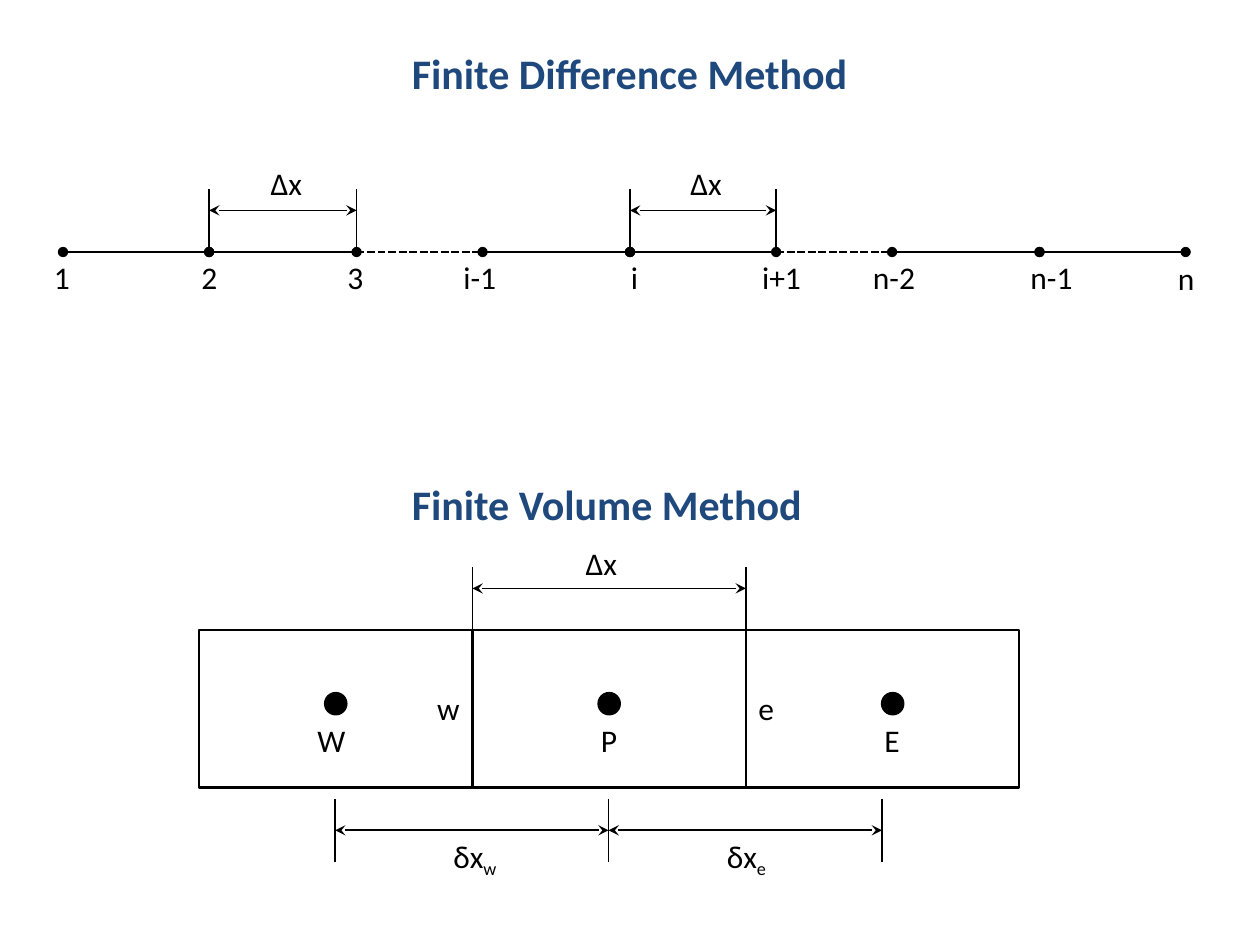
import pptx
import pptx.dml.color
import pptx.enum.dml
import pptx.enum.shapes
import pptx.enum.text
import pptx.oxml.xmlchemy
import pptx.util
from pptx.util import Inches

COLORS = {"ink": "000000", "title": "1F497D"}
FONT = "Calibri"
AXIS_Y = 2
CELL_LEFT, CELL_TOP = 1.58, 5
CELL_WIDTH, CELL_HEIGHT = 2.17, 1.25
NODE_SIZE = 0.17


def color(name):
    return pptx.dml.color.RGBColor.from_string(COLORS[name])


def add_label(slide, text, left, top, width, height=0.4, size=18,
              color_name="ink", bold=False, subscript=""):
    box = slide.shapes.add_textbox(
        Inches(left), Inches(top), Inches(width), Inches(height))
    frame = box.text_frame
    frame.word_wrap = False
    frame.auto_size = pptx.enum.text.MSO_AUTO_SIZE.SHAPE_TO_FIT_TEXT
    paragraph = frame.paragraphs[0]
    for content, baseline in ((text, 0), (subscript, -25000)):
        if not content:
            continue
        run = paragraph.add_run()
        run.text = content
        run.font.name = FONT
        run.font.size = pptx.util.Pt(size)
        run.font.bold = bold
        run.font.color.rgb = color(color_name)
        if baseline:
            run.font._element.set("baseline", str(baseline))


def add_title(slide, text, top, width):
    add_label(slide, text, 3.17, top, width, 0.5, 24, "title", True)


def add_line(slide, start, end, weight, ends=None, dashed=False):
    connector = slide.shapes.add_connector(
        pptx.enum.shapes.MSO_CONNECTOR.STRAIGHT,
        *(Inches(value) for value in (*start, *end)))
    connector.line.color.rgb = color("ink")
    connector.line.width = pptx.util.Pt(weight)
    if dashed:
        connector.line.dash_style = pptx.enum.dml.MSO_LINE.SQUARE_DOT
    if ends:
        for tag in ("a:headEnd", "a:tailEnd"):
            element = pptx.oxml.xmlchemy.OxmlElement(tag)
            element.set("type", ends)
            connector.line._get_or_add_ln().append(element)
    properties = connector._element.spPr
    properties.append(pptx.oxml.xmlchemy.OxmlElement("a:effectLst"))


def add_extension(slide, x, top):
    add_line(slide, (x, top), (x, top + 0.5), 0.75)


def add_dimension(slide, left, right, y):
    add_line(slide, (left, y), (right, y), 1, "stealth")


def add_outlined_shape(slide, kind, left, top, width, height, filled=False):
    shape = slide.shapes.add_shape(
        kind, Inches(left), Inches(top), Inches(width), Inches(height))
    shape.shadow.inherit = False
    shape.line.color.rgb = color("ink")
    shape.line.width = pptx.util.Pt(1.25)
    if filled:
        shape.fill.solid()
        shape.fill.fore_color.rgb = color("ink")
    else:
        shape.fill.background()


def draw_finite_difference(slide):
    add_title(slide, "Finite Difference Method", 0.33, 3.71)
    groups = [(0.5, 1.66, 2.83), (3.83, 5, 6.16), (7.08, 8.25, 9.41)]
    for group in groups:
        for left, right in zip(group, group[1:]):
            add_line(slide, (left, AXIS_Y), (right, AXIS_Y), 1.5, "oval")
    for before, after in zip(groups, groups[1:]):
        add_line(slide, (before[-1], AXIS_Y), (after[0], AXIS_Y), 1.5, dashed=True)

    node_labels = [
        ("1", 0.33, 0.33), ("2", 1.5, 0.33), ("3", 2.66, 0.33),
        ("i-1", 3.58, 0.46), ("i", 4.91, 0.26), ("i+1", 5.95, 0.51),
        ("n-2", 6.83, 0.54), ("n-1", 8.08, 0.54), ("n", 9.25, 0.34),
    ]
    for text, left, width in node_labels:
        add_label(slide, text, left, AXIS_Y + (0.01 if text == "n" else 0), width)

    for left, right, label_left in ((1.66, 2.83, 2.05), (5, 6.16, 5.38)):
        for x in (left, right):
            add_extension(slide, x, AXIS_Y - 0.5)
        add_dimension(slide, left, right, 1.67)
        add_label(slide, "Δx", label_left, 1.25, 0.45)


def draw_finite_volume(slide):
    add_title(slide, "Finite Volume Method", 3.75, 3.33)
    shapes = pptx.enum.shapes.MSO_SHAPE
    for column in range(3):
        add_outlined_shape(slide, shapes.RECTANGLE, CELL_LEFT + column * CELL_WIDTH,
                           CELL_TOP, CELL_WIDTH, CELL_HEIGHT)
    west_face = CELL_LEFT + CELL_WIDTH
    east_face = west_face + CELL_WIDTH
    for x in (west_face, east_face):
        add_extension(slide, x, CELL_TOP - 0.5)
    add_dimension(slide, west_face, east_face, 4.67)
    add_label(slide, "Δx", 4.55, 4.27, 0.45)

    for text, node_left, label_left, width in (
            ("W", 2.58, 2.42, 0.43), ("P", 4.75, 4.67, 0.33), ("E", 7, 6.92, 0.33)):
        add_outlined_shape(slide, shapes.OVAL, node_left, 5.5,
                           NODE_SIZE, NODE_SIZE, filled=True)
        add_label(slide, text, label_left, 5.67, width)
    add_label(slide, "w", 3.37, 5.42, 0.38)
    add_label(slide, "e", east_face, 5.42, 0.33)

    for left, right, subscript, label_left, width in (
            (2.66, 4.83, "w", 3.5, 0.56), (4.83, 7, "e", 5.67, 0.52)):
        for x in (left, right):
            add_extension(slide, x, 6.34)
        add_dimension(slide, left, right, 6.59)
        add_label(slide, "δx", label_left, 6.59, width, subscript=subscript)


def main():
    presentation = pptx.Presentation()
    presentation.slide_width = Inches(10)
    presentation.slide_height = Inches(7.5)
    slide = presentation.slides.add_slide(presentation.slide_layouts[6])
    draw_finite_difference(slide)
    draw_finite_volume(slide)
    presentation.save("out.pptx")


if __name__ == "__main__":
    main()
